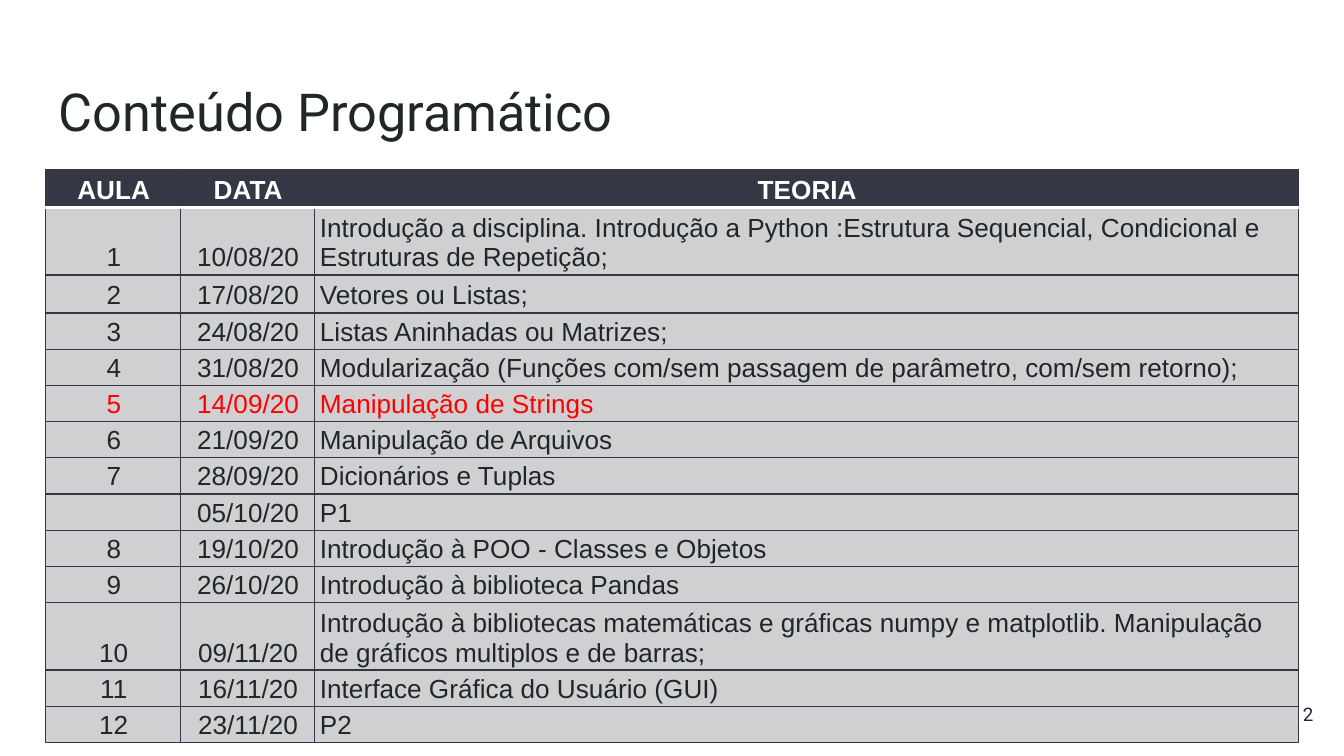
from lxml import etree
from pptx import Presentation
from pptx.dml.color import RGBColor
from pptx.enum.text import MSO_ANCHOR, PP_ALIGN
from pptx.oxml.ns import qn
from pptx.util import Pt

TOP, MIDDLE, BOTTOM = MSO_ANCHOR.TOP, MSO_ANCHOR.MIDDLE, MSO_ANCHOR.BOTTOM
LEFT, CENTER, RIGHT = PP_ALIGN.LEFT, PP_ALIGN.CENTER, PP_ALIGN.RIGHT

INK, WHITE, RED = "202729", "FFFFFF", "FF0000"
HEADER_FILL, BODY_FILL, BORDER = "353744", "D0D0D2", "333643"

HEADER = ("AULA", "DATA", "TEORIA")
LESSONS = [
    ("1", "10/08/20", "Introdução a disciplina. Introdução a Python :Estrutura Sequencial, "
                      "Condicional e Estruturas de Repetição;"),
    ("2", "17/08/20", "Vetores ou Listas;"),
    ("3", "24/08/20", "Listas Aninhadas ou Matrizes;"),
    ("4", "31/08/20", "Modularização (Funções com/sem passagem de parâmetro, com/sem retorno);"),
    ("5", "14/09/20", "Manipulação de Strings"),
    ("6", "21/09/20", "Manipulação de Arquivos"),
    ("7", "28/09/20", "Dicionários e Tuplas"),
    ("", "05/10/20", "P1"),
    ("8", "19/10/20", "Introdução à POO - Classes e Objetos"),
    ("9", "26/10/20", "Introdução à biblioteca Pandas"),
    ("10", "09/11/20", "Introdução à bibliotecas matemáticas e gráficas numpy e matplotlib. "
                       "Manipulação de gráficos multiplos e de barras;"),
    ("11", "16/11/20", "Interface Gráfica do Usuário (GUI)"),
    ("12", "23/11/20", "P2"),
]
CURRENT_LESSON = "5"
ROW_HEIGHT = 18.7
SPECIAL_HEIGHTS = {0: 20.4, 1: 34.3, 2: 20.4, 11: 34.3}


def rgb(value):
    return RGBColor.from_string(value)


def style(p, font, size, color, align=LEFT, bold=False):
    p.alignment = align
    p.font.name = font
    p.font.size = Pt(size)
    p.font.bold = bold
    p.font.color.rgb = rgb(color)


def add_text(s, box, text, size, align=LEFT, anchor=TOP):
    tf = s.shapes.add_textbox(*map(Pt, box)).text_frame
    tf.word_wrap = True
    tf.vertical_anchor = anchor
    tf.margin_left = tf.margin_right = tf.margin_top = tf.margin_bottom = Pt(7.2)
    tf.text = text
    style(tf.paragraphs[0], "Roboto", size, INK, align)


def set_borders(cell, top, bottom):
    """Draw all four sides; top and bottom are (colour, width) pairs."""
    side = (BORDER, 0.75)
    tcPr = cell._tc.get_or_add_tcPr()
    for tag, (color, width) in zip(("lnL", "lnR", "lnT", "lnB"), (side, side, top, bottom)):
        ln = etree.SubElement(tcPr, qn(f"a:{tag}"), w=str(Pt(width)))
        fill = etree.SubElement(ln, qn("a:solidFill"))
        etree.SubElement(fill, qn("a:srgbClr"), val=color)


def fill_cell(cell, text, color, fill, align, bold):
    cell.fill.solid()
    cell.fill.fore_color.rgb = rgb(fill)
    cell.vertical_anchor = BOTTOM
    cell.margin_left, cell.margin_right = Pt(2.9), Pt(2)
    cell.margin_top = cell.margin_bottom = Pt(1.3)
    cell.text = text
    p = cell.text_frame.paragraphs[0]
    style(p, "Arial", 14, color, align, bold)
    if not text:  # an empty cell takes its line height from the end mark
        p._p.get_or_add_endParaRPr().set("sz", "1400")


def add_schedule(s, left, top, width):
    rows = [HEADER, *LESSONS]
    heights = [SPECIAL_HEIGHTS.get(i, ROW_HEIGHT) for i in range(len(rows))]
    frame = s.shapes.add_table(len(rows), len(HEADER),
                               Pt(left), Pt(top), Pt(width), Pt(sum(heights)))
    table = frame.table
    table.horz_banding = False
    for column, w in zip(table.columns, (72, 72, width - 144)):
        column.width = Pt(w)
    thin, header_rule = (BORDER, 0.75), (WHITE, 2)
    for i, (row, height) in enumerate(zip(rows, heights)):
        table.rows[i].height = Pt(height)
        is_header = i == 0
        fill = HEADER_FILL if is_header else BODY_FILL
        color = WHITE if is_header else RED if row[0] == CURRENT_LESSON else INK
        for j, text in enumerate(row):
            cell = table.cell(i, j)
            set_borders(cell, header_rule if i == 1 else thin,
                        header_rule if is_header else thin)
            align = CENTER if is_header or j < 2 else LEFT
            fill_cell(cell, text, color, fill, align, is_header)


def main():
    prs = Presentation()
    prs.slide_width, prs.slide_height = Pt(720), Pt(405)
    s = prs.slides.add_slide(prs.slide_layouts[6])
    add_text(s, (24.5, 35.3, 671, 45.4), "Conteúdo Programático", 28)
    add_text(s, (667.4, 367.2, 43.2, 31), "2", 10, RIGHT, MIDDLE)
    add_schedule(s, 24.5, 90.7, 671)
    prs.save("out.pptx")


if __name__ == "__main__":
    main()
